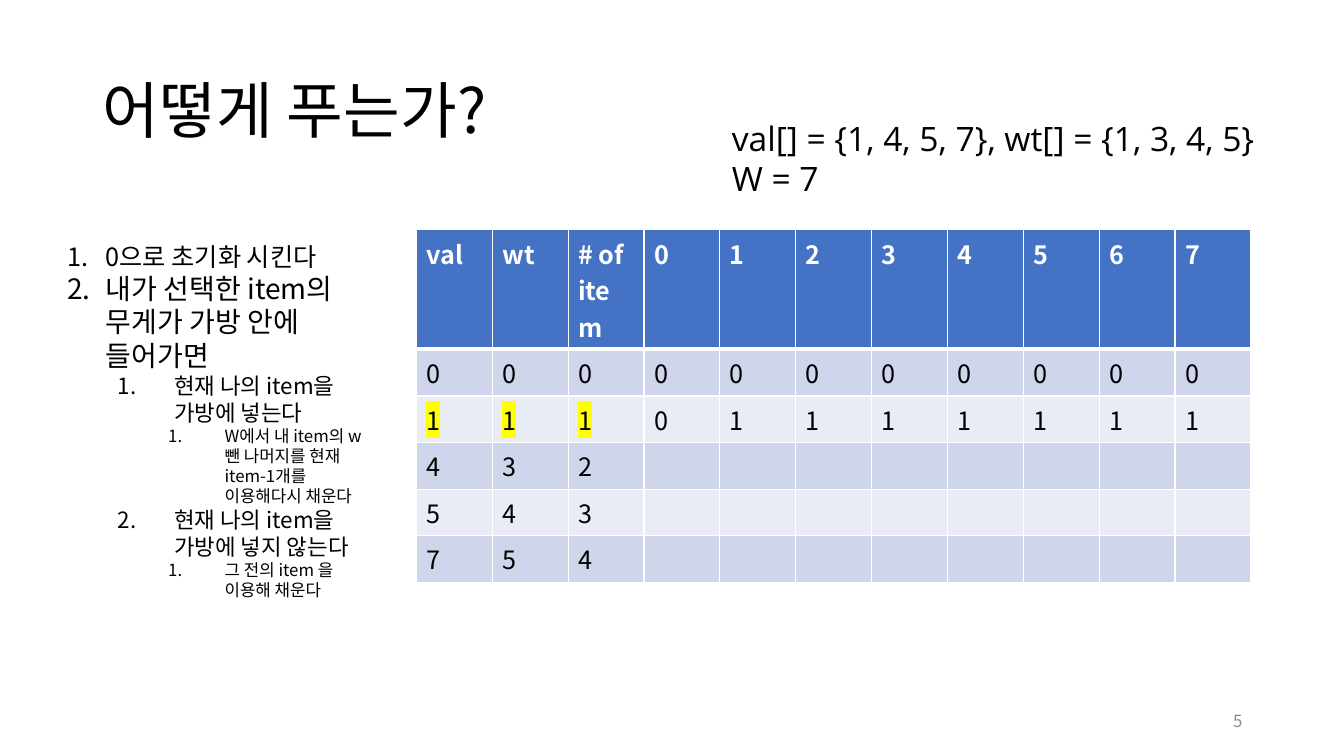
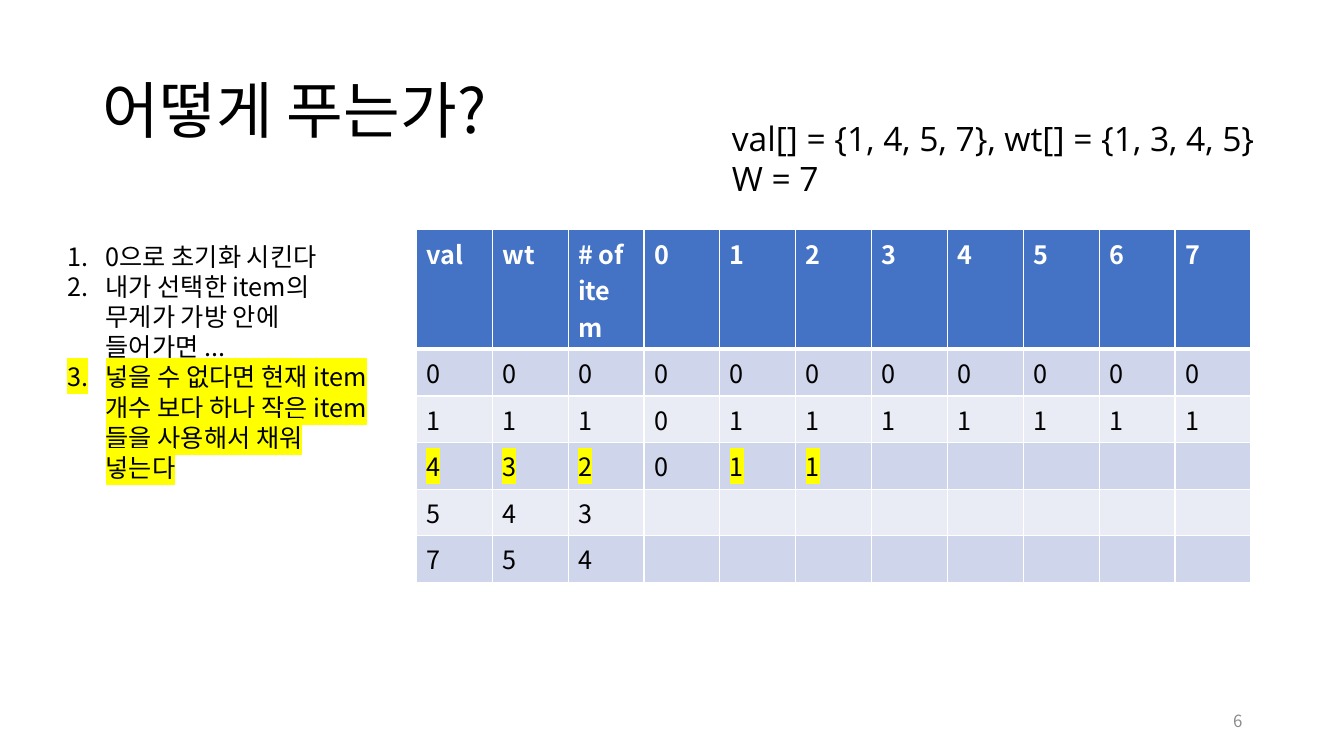
import pptx
import pptx.util
import pptx.dml.color
import pptx.enum.text
import pptx.oxml
import pptx.oxml.ns
from pptx.util import Inches

SANS = "Noto Sans CJK KR"
LATIN = "Open Sans"
BLACK, WHITE, GRAY, YELLOW = "000000", "FFFFFF", "8C8C8C", "FFFF00"
HEADER_FILL, BAND_FILLS = "4472C4", ("E9EBF5", "CFD5EA")

TITLE = "어떻게 푸는가?"
PROBLEM = "val[] = {1, 4, 5, 7}, wt[] = {1, 3, 4, 5}\nW = 7"
HEADER = ["val", "wt", "# of item", *map(str, range(8))]
ITEMS = [(0, 0, 0), (1, 1, 1), (4, 3, 2), (5, 4, 3), (7, 5, 4)]
ZERO_ROW = [0] * 8
FIRST_ITEM_ROW = [0] + [1] * 7

# Left margin and hanging indent of each list level, in inches
LIST_INDENTS = [(0.38, -0.38), (1.06, -0.56), (1.56, -0.56)]


def rgb(color):
    return pptx.dml.color.RGBColor.from_string(color)


def element(xml):
    """Parse XML whose outer tag holds the mark NS for the namespace."""
    return pptx.oxml.parse_xml(xml.replace("NS", pptx.oxml.ns.nsdecls("a")))


class Deck:
    def __init__(self):
        self.prs = pptx.Presentation()
        self.prs.slide_width = Inches(13.33)
        self.prs.slide_height = Inches(7.5)
        self.slide = None

    def style(self, p, size, color=BLACK, font=SANS, bold=False):
        """Set the paragraph font, for East Asian letters too."""
        p.font.size = pptx.util.Pt(size)
        p.font.color.rgb = rgb(color)
        p.font.bold = bold
        p.font.name = font
        latin = p.font._element.find(pptx.oxml.ns.qn("a:latin"))
        latin.addnext(element(f'<a:ea NS typeface="{font}"/>'))

    def highlight(self, p):
        for r in p.runs:
            r.font._element.append(element(
                f'<a:highlight NS><a:srgbClr val="{YELLOW}"/></a:highlight>'))

    def add_slide(self, title):
        self.slide = self.prs.slides.add_slide(self.prs.slide_layouts[5])
        sp = self.slide.shapes.title
        sp.left, sp.top = Inches(0.92), Inches(0.4)
        sp.width, sp.height = Inches(11.5), Inches(1.45)
        tf = sp.text_frame
        tf.text = title
        tf.auto_size = pptx.enum.text.MSO_AUTO_SIZE.NONE
        tf.vertical_anchor = pptx.enum.text.MSO_ANCHOR.MIDDLE
        p = tf.paragraphs[0]
        p.alignment = pptx.enum.text.PP_ALIGN.LEFT
        p.line_spacing = 0.9
        self.style(p, 44)

    def text_frame(self, left, top, width, height):
        sp = self.slide.shapes.add_textbox(
            Inches(left), Inches(top), Inches(width), Inches(height))
        sp.text_frame.word_wrap = True
        return sp.text_frame

    def problem(self, text):
        p = self.text_frame(7.16, 1.12, 6.67, 0.91).paragraphs[0]
        p.text = text
        self.style(p, 24, font=LATIN)

    def page_number(self, number):
        tf = self.text_frame(9.42, 6.95, 3, 0.4)
        tf.vertical_anchor = pptx.enum.text.MSO_ANCHOR.MIDDLE
        p = tf.paragraphs[0]
        p.text = str(number)
        p.alignment = pptx.enum.text.PP_ALIGN.RIGHT
        self.style(p, 12, GRAY)

    def steps(self, height, steps):
        """Add a numbered list of (level, size, text, highlighted)."""
        tf = self.text_frame(0.57, 2.34, 3.2, height)
        for i, (level, size, text, marked) in enumerate(steps):
            p = tf.add_paragraph() if i else tf.paragraphs[0]
            p.text = text
            p.level = level
            self.style(p, size)
            margin, indent = LIST_INDENTS[level]
            pPr = p._p.get_or_add_pPr()
            pPr.set("marL", str(Inches(margin)))
            pPr.set("indent", str(Inches(indent)))
            pPr.insert(0, element('<a:buAutoNum NS type="arabicPeriod"/>'))
            if marked:
                self.highlight(p)

    def borders(self, cell, top, bottom):
        """Draw white cell borders; top and bottom are widths in points."""
        tcPr = cell._tc.get_or_add_tcPr()
        sides = [("L", 1), ("R", 1), ("T", top), ("B", bottom)]
        for i, (side, width) in enumerate(sides):
            tcPr.insert(i, element(
                f'<a:ln{side} NS w="{pptx.util.Pt(width)}"><a:solidFill>'
                f'<a:srgbClr val="{WHITE}"/></a:solidFill></a:ln{side}>'))

    def knapsack_table(self, filled, marked):
        """Fill the rows below the header; marked holds (row, column) pairs."""
        rows = [HEADER] + [
            [*item, *values] for item, values in
            zip(ITEMS, filled + [[]] * (len(ITEMS) - len(filled)))]
        table = self.slide.shapes.add_table(
            len(rows), len(HEADER), Inches(4.13), Inches(2.28),
            Inches(8.28), Inches(3.28)).table
        for i, row in enumerate(rows):
            table.rows[i].height = Inches(0.45 if i else 1.02)
            for j in range(len(HEADER)):
                cell = table.cell(i, j)
                cell.fill.solid()
                cell.fill.fore_color.rgb = rgb(
                    BAND_FILLS[i % 2] if i else HEADER_FILL)
                self.borders(cell, 3 if i == 1 else 1, 1 if i else 3)
                p = cell.text_frame.paragraphs[0]
                if j < len(row):
                    p.text = str(row[j])
                self.style(p, 18, BLACK if i else WHITE, bold=i == 0)
                if (i, j) in marked:
                    self.highlight(p)


def main():
    slides = [
        (5, [ZERO_ROW, FIRST_ITEM_ROW], [(2, j) for j in range(3)], 3.7, [
            (0, 18, "0으로 초기화 시킨다", False),
            (0, 20, "내가 선택한 item의 무게가 가방 안에 들어가면", False),
            (1, 16, "현재 나의 item을 가방에 넣는다", False),
            (2, 12, "W에서 내 item의 w 뺀 나머지를 현재 item-1개를 "
                    "이용해다시 채운다", False),
            (1, 16, "현재 나의 item을 가방에 넣지 않는다", False),
            (2, 12, "그 전의 item 을 이용해 채운다", False)]),
        (6, [ZERO_ROW, FIRST_ITEM_ROW, [0, 1, 1]],
         [(3, j) for j in (0, 1, 2, 4, 5)], 2.93, [
            (0, 18, "0으로 초기화 시킨다", False),
            (0, 18, "내가 선택한 item의 무게가 가방 안에 들어가면 ...", False),
            (0, 18, "넣을 수 없다면 현재 item 개수 보다 하나 작은 item 들을 "
                    "사용해서 채워 넣는다", True)]),
    ]
    deck = Deck()
    for number, filled, marked, height, steps in slides:
        deck.add_slide(TITLE)
        deck.knapsack_table(filled, marked)
        deck.page_number(number)
        deck.problem(PROBLEM)
        deck.steps(height, steps)
    deck.prs.save("out.pptx")


if __name__ == "__main__":
    main()
